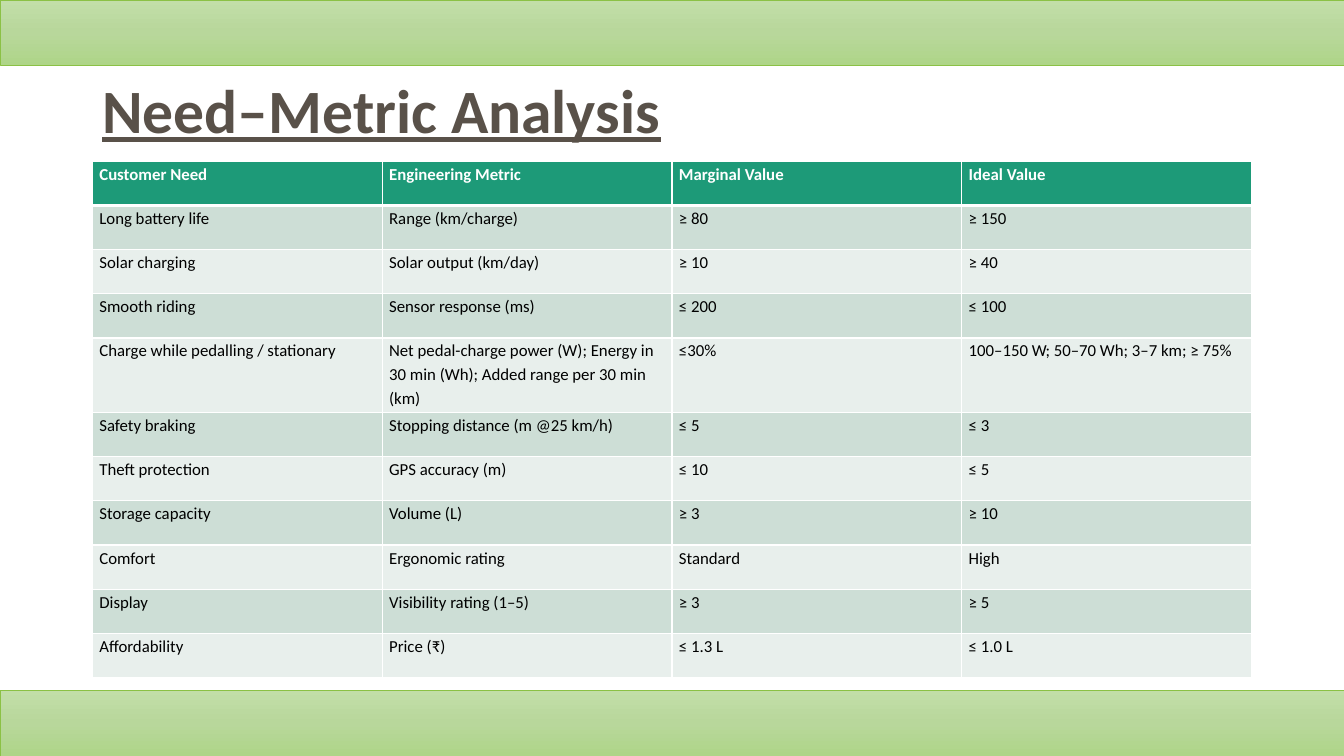
from copy import deepcopy

from lxml.etree import SubElement
from pptx import Presentation
from pptx.dml.color import RGBColor
from pptx.enum.shapes import MSO_SHAPE as SHAPE
from pptx.enum.text import MSO_ANCHOR as ANCHOR, MSO_AUTO_SIZE as AUTO, PP_ALIGN as ALIGN
from pptx.oxml.ns import qn
from pptx.util import Pt

FONT = "Calibri"
COLORS = {
    "band_top": "C2DEA8", "band_mid": "B8D79B", "band_bottom": "AED588",
    "band_line": "8BC145", "title": "595149", "header": "1D9A78",
    "odd_row": "CDDED6", "even_row": "E8EFEC", "white": "FFFFFF", "black": "000000",
}
WIDTH, HEIGHT = 960, 540
BAND_HEIGHT = 46.8
LEFT, CONTENT_WIDTH = 66, 828
TABLE_TOP, ROW_HEIGHT, TALL_ROW, TALL_HEIGHT = 115.2, 31.57, 4, 53.3
ROWS = [
    ("Customer Need", "Engineering Metric", "Marginal Value", "Ideal Value"),
    ("Long battery life", "Range (km/charge)", "≥ 80", "≥ 150"),
    ("Solar charging", "Solar output (km/day)", "≥ 10", "≥ 40"),
    ("Smooth riding", "Sensor response (ms)", "≤ 200", "≤ 100"),
    ("Charge while pedalling / stationary",
     "Net pedal-charge power (W); Energy in 30 min (Wh); Added range per 30 min (km)",
     "≤30%", "100–150 W; 50–70 Wh; 3–7 km; ≥ 75%"),
    ("Safety braking", "Stopping distance (m @25 km/h)", "≤ 5", "≤ 3"),
    ("Theft protection", "GPS accuracy (m)", "≤ 10", "≤ 5"),
    ("Storage capacity", "Volume (L)", "≥ 3", "≥ 10"),
    ("Comfort", "Ergonomic rating", "Standard", "High"),
    ("Display", "Visibility rating (1–5)", "≥ 3", "≥ 5"),
    ("Affordability", "Price (₹)", "≤ 1.3 L", "≤ 1.0 L"),
]


def rgb(name):
    return RGBColor.from_string(COLORS[name])


def set_font(p, size, color, bold):
    p.font.name = FONT
    p.font.size = Pt(size)
    p.font.bold = bold
    p.font.color.rgb = rgb(color)


def add_band(s, top):
    sp = s.shapes.add_shape(SHAPE.RECTANGLE, 0, Pt(top), Pt(WIDTH), Pt(BAND_HEIGHT))
    sp.shadow.inherit = False
    sp.line.color.rgb = rgb("band_line")
    sp.line.width = Pt(0.5)
    sp.fill.gradient()
    sp.fill.gradient_angle = 270
    stops = sp._element.spPr.find(".//" + qn("a:gsLst"))
    stops.insert(1, deepcopy(stops[0]))
    names = ("band_top", "band_mid", "band_bottom")
    for i, (stop, name) in enumerate(zip(sp.fill.gradient_stops, names)):
        stop.position = i / 2
        stop.color.rgb = rgb(name)
    s.shapes._spTree.insert(2, sp._element)


def set_title(s, text):
    sp = s.shapes.title
    sp.left, sp.top, sp.width, sp.height = Pt(LEFT), Pt(28.8), Pt(CONTENT_WIDTH), Pt(104.4)
    tf = sp.text_frame
    tf.text = text
    tf.word_wrap = True
    tf.auto_size = AUTO.NONE
    tf.vertical_anchor = ANCHOR.MIDDLE
    p = tf.paragraphs[0]
    p.alignment = ALIGN.LEFT
    p.line_spacing = 0.9
    set_font(p, 44, "title", True)
    p.font.underline = True


def set_borders(cell, widths):
    tc_pr = cell._tc.get_or_add_tcPr()
    for i, (side, width) in enumerate(widths.items()):
        ln = SubElement(tc_pr, qn(f"a:ln{side}"), w=str(Pt(width)))
        fill = SubElement(ln, qn("a:solidFill"))
        SubElement(fill, qn("a:srgbClr"), val=COLORS["white"])
        tc_pr.insert(i, ln)


def fill_cell(cell, text, row):
    header = row == 0
    cell.text = text
    cell.margin_left = cell.margin_right = Pt(5)
    cell.margin_top = cell.margin_bottom = 0
    cell.fill.solid()
    cell.fill.fore_color.rgb = rgb("header" if header else "odd_row" if row % 2 else "even_row")
    p = cell.text_frame.paragraphs[0]
    p.line_spacing = 1.15
    p.space_after = Pt(8)
    set_font(p, 12, "white" if header else "black", header)
    set_borders(cell, {"L": 1, "R": 1, "T": 3 if row == 1 else 1, "B": 3 if header else 1})


def add_metric_table(s, rows):
    height = ROW_HEIGHT * (len(rows) - 1) + TALL_HEIGHT
    table = s.shapes.add_table(len(rows), len(rows[0]), Pt(LEFT), Pt(TABLE_TOP),
                               Pt(CONTENT_WIDTH), Pt(height)).table
    for r, texts in enumerate(rows):
        table.rows[r].height = Pt(TALL_HEIGHT if r == TALL_ROW else ROW_HEIGHT)
        for c, text in enumerate(texts):
            fill_cell(table.cell(r, c), text, r)


def main():
    """Build the need–metric analysis slide."""
    prs = Presentation()
    prs.slide_width, prs.slide_height = Pt(WIDTH), Pt(HEIGHT)
    s = prs.slides.add_slide(prs.slide_layouts[5])
    for top in (0, HEIGHT - BAND_HEIGHT):
        add_band(s, top)
    set_title(s, "Need–Metric Analysis")
    add_metric_table(s, ROWS)
    prs.save("out.pptx")


if __name__ == "__main__":
    main()
